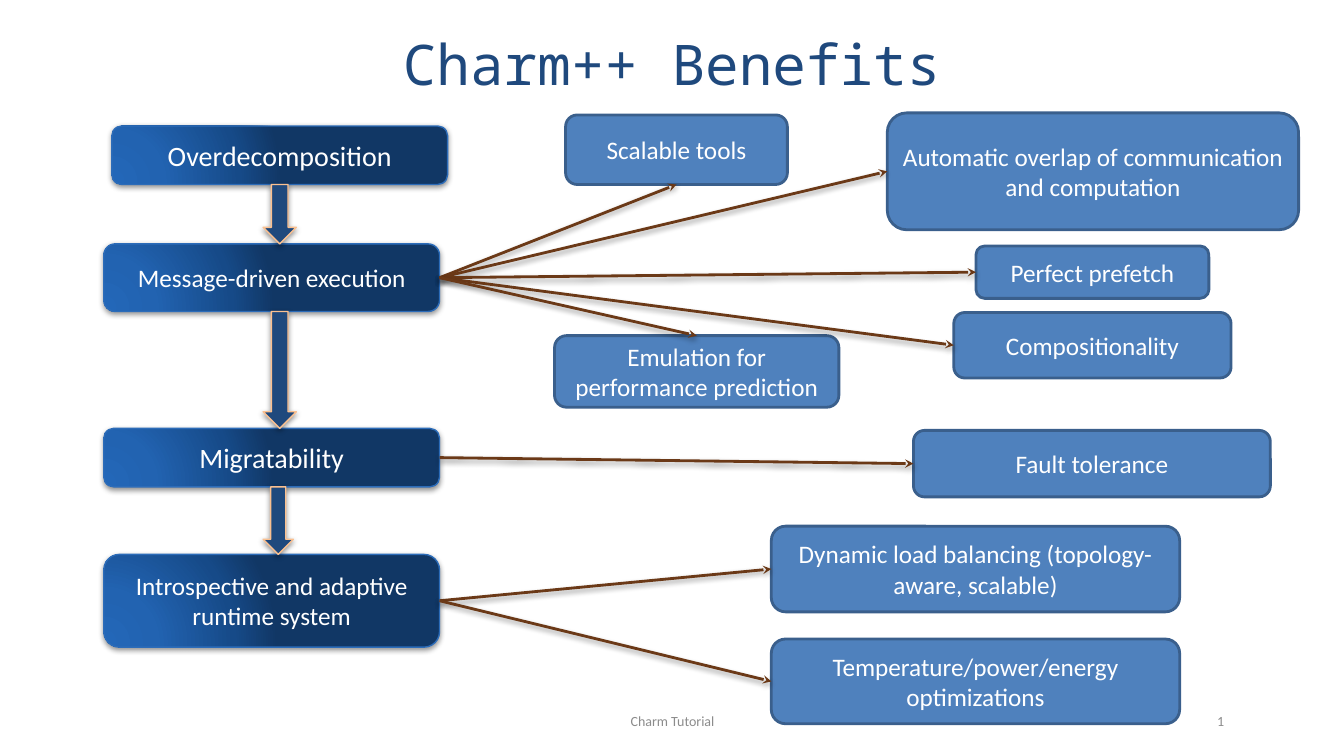
"""Build the Charm++ Benefits slide: a chain of concepts and the benefits each one brings."""
from dataclasses import dataclass

from lxml import etree
from pptx import Presentation
from pptx.dml.color import RGBColor
from pptx.enum import shapes, text
from pptx.oxml import parse_xml
from pptx.oxml.ns import nsdecls, qn
from pptx.util import Inches, Pt

TITLE = ("Charm++ Benefits", (0.44, 0.17, 12.44, 0.92))
STAGES = [
    ("Overdecomposition", (1.11, 1.25, 3.33, 0.58), 20),
    ("Message-driven execution", (1.03, 2.42, 3.33, 0.67), 18),
    ("Migratability", (1.03, 4.25, 3.33, 0.58), 20),
    ("Introspective and adaptive runtime system", (1.03, 5.5, 3.33, 0.92), 18),
]
TOP, LEFT, RIGHT = 0, 1, 3
BOTTOM = 2
BENEFITS = [
    ("Scalable tools", (5.61, 1.14, 2.2, 0.69), 1, BOTTOM),
    ("Automatic overlap of communication and computation", (8.8, 1.12, 4.08, 1.16), 1, LEFT),
    ("Perfect prefetch", (9.68, 2.44, 2.31, 0.52), 1, LEFT),
    ("Compositionality", (9.46, 3.1, 2.75, 0.65), 1, LEFT),
    ("Emulation for performance prediction", (5.5, 3.33, 2.82, 0.71), 1, TOP),
    ("Fault tolerance", (9.06, 4.27, 3.54, 0.66), 2, LEFT),
    ("Dynamic load balancing (topology-aware, scalable)", (7.65, 5.22, 4.05, 0.85), 3, LEFT),
    ("Temperature/power/energy optimizations", (7.65, 6.34, 4.05, 0.84), 3, LEFT),
]
STEP_LEFT, STEP_WIDTHS = 2.61, (0.33, 0.33, 0.3)
FOOTERS = [
    ("Charm Tutorial", (4.1, 6.95, 5.14, 0.4), text.PP_ALIGN.CENTER),
    ("1", (10.83, 6.95, 1.41, 0.4), text.PP_ALIGN.RIGHT),
]


@dataclass(frozen=True)
class Theme:
    navy: str = "1F497D"
    stage_line: str = "2C6CB9"
    stage_stops: tuple = ((0, "2367B8"), (30, "2263B1"), (75, "164A88"), (100, "113765"))
    benefit: str = "4F81BD"
    benefit_line: str = "3A5F8C"
    step_line: str = "FAC090"
    link: str = "6B3917"
    white: str = "FFFFFF"
    grey: str = "8C8C8C"
    body_font: str = "Calibri"
    title_font: str = "Noto Sans Mono"
    title_size: int = 40
    benefit_size: int = 18
    footer_size: int = 10


THEME = Theme()


def rgb(value):
    return RGBColor.from_string(value)


def write(holder, words, size, color, font=THEME.body_font, align=text.PP_ALIGN.CENTER):
    frame = holder.text_frame
    frame.text = words
    frame.word_wrap = True
    frame.vertical_anchor = text.MSO_ANCHOR.MIDDLE
    paragraph = frame.paragraphs[0]
    paragraph.alignment = align
    run_font = paragraph.runs[0].font
    run_font.size, run_font.name, run_font.color.rgb = Pt(size), font, rgb(color)


def outline(part, color, width):
    part.line.color.rgb = rgb(color)
    part.line.width = Pt(width)


def cast_shadow(part, distance, opacity):
    properties = part._element.spPr
    effects = properties.find(qn("a:effectLst"))
    if effects is None:
        effects = etree.SubElement(properties, qn("a:effectLst"))
    effects.append(parse_xml(
        f'<a:outerShdw {nsdecls("a")} blurRad="{Pt(4)}" dist="{Pt(distance)}" dir="5400000" '
        f'rotWithShape="0"><a:srgbClr val="000000"><a:alpha val="{opacity * 1000}"/>'
        '</a:srgbClr></a:outerShdw>'))


def fill_radial(part, stops):
    marks = "".join(f'<a:gs pos="{at * 1000}"><a:srgbClr val="{color}"/></a:gs>'
                    for at, color in stops)
    part._element.spPr.find(qn("a:prstGeom")).addnext(parse_xml(
        f'<a:gradFill {nsdecls("a")} rotWithShape="1"><a:gsLst>{marks}</a:gsLst>'
        '<a:path path="circle"><a:fillToRect l="5000" t="100000" r="120000" b="10000"/>'
        '</a:path></a:gradFill>'))


def add_block(slide, kind, box, line, width, fill=None):
    block = slide.shapes.add_shape(kind, *map(Inches, box))
    block.shadow.inherit = False
    if fill:
        block.fill.solid()
        block.fill.fore_color.rgb = rgb(fill)
    else:
        fill_radial(block, THEME.stage_stops)
    outline(block, line, width)
    return block


def add_stage(slide, words, box, size):
    stage = add_block(slide, shapes.MSO_SHAPE.ROUNDED_RECTANGLE, box, THEME.stage_line, 1)
    cast_shadow(stage, 1.6, 42)
    write(stage, words, size, THEME.white)
    return stage


def add_step(slide, upper, lower, width):
    top = upper[1] + upper[3]
    step = add_block(slide, shapes.MSO_SHAPE.DOWN_ARROW,
                     (STEP_LEFT, top, width, lower[1] - top), THEME.step_line, 1, THEME.navy)
    cast_shadow(step, 1.6, 42)


def add_link(slide, stage, benefit, side):
    link = slide.shapes.add_connector(shapes.MSO_CONNECTOR.STRAIGHT, 0, 0, 0, 0)
    link.begin_connect(stage, RIGHT)
    link.end_connect(benefit, side)
    outline(link, THEME.link, 2)
    etree.SubElement(link.line._get_or_add_ln(), qn("a:tailEnd"), type="stealth")
    cast_shadow(link, 2, 40)


def main():
    deck = Presentation()
    deck.slide_width, deck.slide_height = Inches(13.33), Inches(7.5)
    slide = deck.slides.add_slide(deck.slide_layouts[5])

    heading, box = TITLE
    title = slide.shapes.title
    title.left, title.top, title.width, title.height = map(Inches, box)
    write(title, heading, THEME.title_size, THEME.navy, THEME.title_font)

    stages = [add_stage(slide, *stage) for stage in STAGES]
    boxes = [box for _, box, _ in STAGES]
    for upper, lower, width in zip(boxes, boxes[1:], STEP_WIDTHS):
        add_step(slide, upper, lower, width)

    links = []
    for words, box, source, side in BENEFITS:
        benefit = add_block(slide, shapes.MSO_SHAPE.ROUNDED_RECTANGLE, box,
                            THEME.benefit_line, 2, THEME.benefit)
        write(benefit, words, THEME.benefit_size, THEME.white)
        links.append((stages[source], benefit, side))
    for link in links:
        add_link(slide, *link)

    for words, box, align in FOOTERS:
        footer = slide.shapes.add_textbox(*map(Inches, box))
        write(footer, words, THEME.footer_size, THEME.grey, align=align)
    deck.save("out.pptx")


if __name__ == "__main__":
    main()
